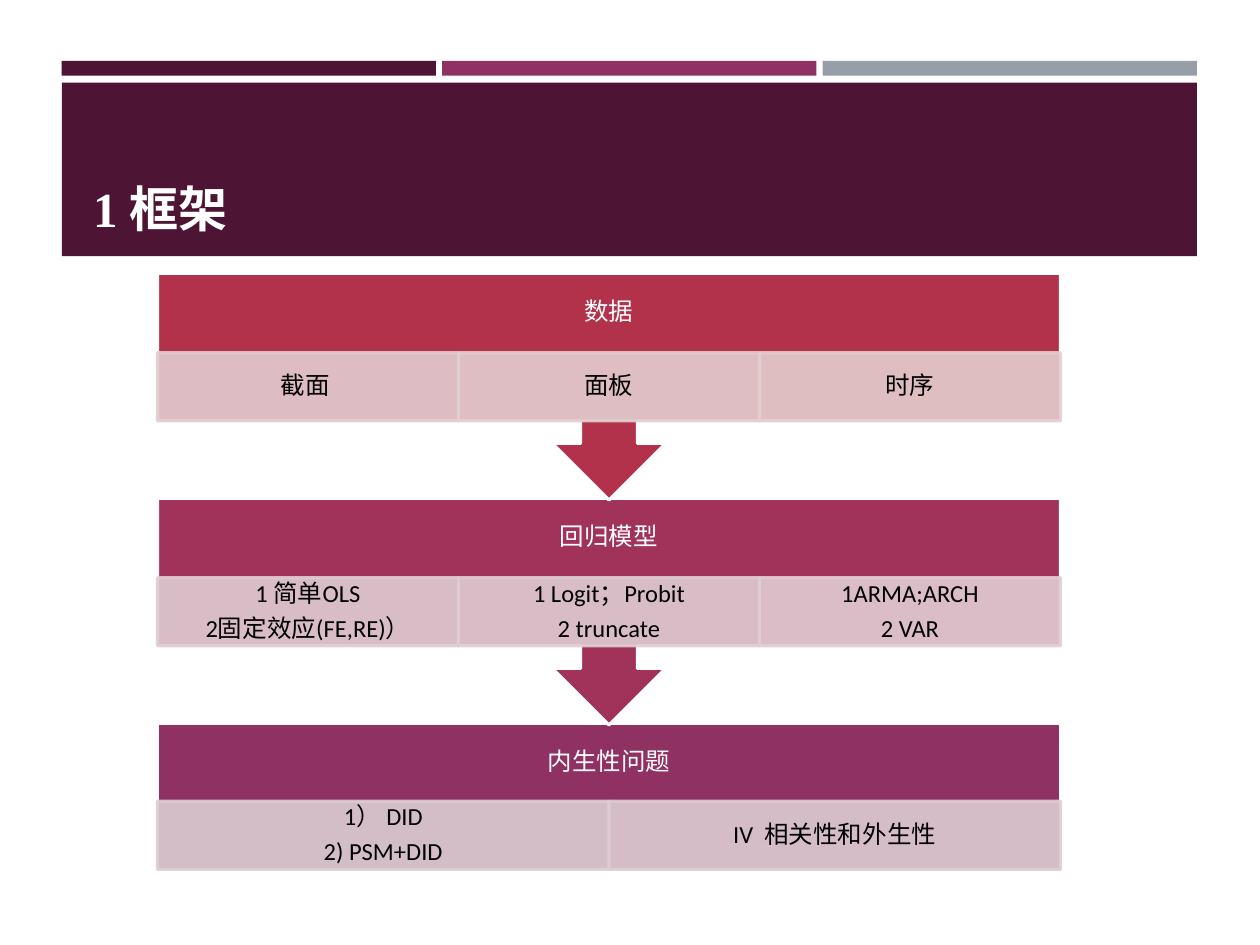
import pptx
import pptx.util
import pptx.dml.color
import pptx.enum.shapes
import pptx.enum.text
import pptx.oxml
import pptx.oxml.ns

Pt = pptx.util.Pt
SHAPES = pptx.enum.shapes.MSO_SHAPE
ALIGN = pptx.enum.text.PP_ALIGN
ANCHOR = pptx.enum.text.MSO_ANCHOR

# Content
TITLE = "1 框架"
STRIPES = ["4D1434", "903163", "969FA7"]
BANNER_COLOR = "4D1434"
STAGES = [
    {"name": "数据", "font": "Noto Sans CJK SC", "color": "B2324B",
     "cells": [("E2CDD1", ["截面 "]), ("E3CED0", ["面板"]), ("E4CED0", ["时序"])]},
    {"name": "回归模型", "font": "Calibri", "color": "A1325A",
     "cells": [("DECDD2", ["1 简单OLS", "2固定效应(FE,RE)）"]),
               ("DFCDD2", ["1 Logit；Probit", "2 truncate"]),
               ("E1CDD2", ["1ARMA;ARCH", "2 VAR"])]},
    {"name": "内生性问题", "font": "Calibri", "color": "903163",
     "cells": [("DBCED3", ["1） DID", "2) PSM+DID"]),
               ("DDCDD3", ["IV  相关性和外生性"])]},
]

# Layout in points
BANNER_LEFT, BANNER_WIDTH, STRIPE_GAP = 35.3, 648.7, 3.6
FLOW_LEFT, FLOW_WIDTH, FLOW_TOP, STAGE_STEP = 90, 516, 156.2, 128.5
CALLOUT_HEIGHT, LAST_HEIGHT = 129.6, 84.2
NAME_HEIGHT, CELL_HEIGHT = 45.4, 39


def rgb(value):
    return pptx.dml.color.RGBColor.from_string(value)


def set_opacity(fill_element, percent):
    color = fill_element.find(".//" + pptx.oxml.ns.qn("a:srgbClr"))
    color.append(pptx.oxml.parse_xml(
        f'<a:alpha {pptx.oxml.ns.nsdecls("a")} val="{percent * 1000}"/>'))


def add_block(page, kind, left, top, width, height, color, line=None):
    block = page.shapes.add_shape(kind, Pt(left), Pt(top), Pt(width), Pt(height))
    block.shadow.inherit = False
    block.fill.solid()
    block.fill.fore_color.rgb = rgb(color)
    if line:
        block.line.color.rgb = rgb(line)
        block.line.width = Pt(1.75)
    else:
        block.line.fill.background()
    return block


def write(frame, lines, size, font, color, bold=False):
    frame.word_wrap = True
    for index, line in enumerate(lines):
        para = frame.paragraphs[0] if index == 0 else frame.add_paragraph()
        span = para.add_run()
        span.text = line
        span.font.size = Pt(size)
        span.font.name = font
        span.font.bold = bold
        span.font.color.rgb = rgb(color)


def center(frame, side, edge):
    frame.vertical_anchor = ANCHOR.MIDDLE
    frame.margin_left = frame.margin_right = Pt(side)
    frame.margin_top = frame.margin_bottom = Pt(edge)
    for para in frame.paragraphs:
        para.alignment = ALIGN.CENTER
        para.line_spacing = 0.9
        para.space_after = Pt(4.9)


def add_stage(page, stage, top, is_last):
    # The last stage is a plain block, the others point down to the next
    kind = SHAPES.RECTANGLE if is_last else SHAPES.UP_ARROW_CALLOUT
    height = LAST_HEIGHT if is_last else CALLOUT_HEIGHT
    body = add_block(page, kind, FLOW_LEFT, top, FLOW_WIDTH, height,
                     stage["color"], "FFFFFF")
    if not is_last:
        body.rotation = 180
    name = page.shapes.add_textbox(Pt(FLOW_LEFT), Pt(top), Pt(FLOW_WIDTH), Pt(NAME_HEIGHT))
    write(name.text_frame, [stage["name"]], 14, stage["font"], "FFFFFF")
    center(name.text_frame, 7.9, 7.9)

    # Equal cells under the stage name
    width = FLOW_WIDTH / len(stage["cells"])
    for column, (color, lines) in enumerate(stage["cells"]):
        cell = add_block(page, SHAPES.RECTANGLE, FLOW_LEFT + column * width,
                         top + NAME_HEIGHT - (0.8 if is_last else 0),
                         width, CELL_HEIGHT, color, color)
        set_opacity(cell.fill._xPr.find(pptx.oxml.ns.qn("a:solidFill")), 90)
        set_opacity(cell.line._ln, 90)
        write(cell.text_frame, lines, 14, "Calibri", "000000")
        center(cell.text_frame, 7.9, 1.4)


def main():
    deck = pptx.Presentation()
    deck.slide_width, deck.slide_height = Pt(720), Pt(540)
    page = deck.slides.add_slide(deck.slide_layouts[6])

    # Stripes and title banner
    width = (BANNER_WIDTH - STRIPE_GAP * (len(STRIPES) - 1)) / len(STRIPES)
    for index, color in enumerate(STRIPES):
        add_block(page, SHAPES.RECTANGLE, BANNER_LEFT + index * (width + STRIPE_GAP),
                  34.8, width, 8.5, color)
    add_block(page, SHAPES.RECTANGLE, BANNER_LEFT, 47.3, BANNER_WIDTH, 99.1, BANNER_COLOR)
    title = page.shapes.add_textbox(Pt(46.1), Pt(54), Pt(629.3), Pt(85))
    title.text_frame.vertical_anchor = ANCHOR.BOTTOM
    write(title.text_frame, [TITLE], 28, "Times New Roman", "FFFFFF", bold=True)

    # Stages from the bottom up, so each arrow tip lies over the next stage
    last = len(STAGES) - 1
    for index in range(last, -1, -1):
        add_stage(page, STAGES[index], FLOW_TOP + index * STAGE_STEP, index == last)

    deck.save("out.pptx")


if __name__ == "__main__":
    main()
